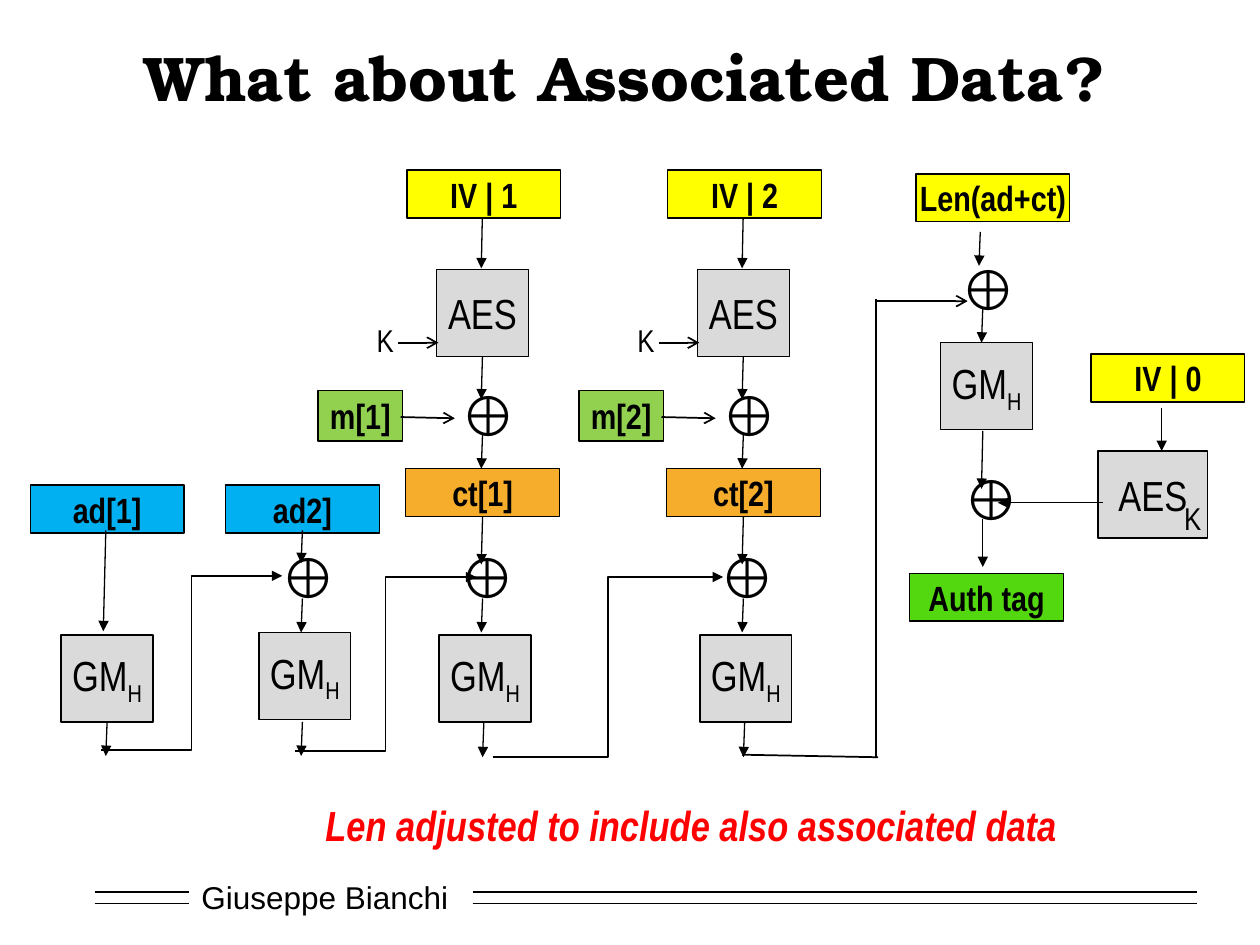
from lxml import etree
from pptx import Presentation
from pptx.dml.color import RGBColor
from pptx.enum.shapes import MSO_CONNECTOR, MSO_SHAPE
from pptx.enum.text import MSO_ANCHOR, PP_ALIGN
from pptx.oxml.ns import qn
from pptx.util import Inches, Pt

RECT = MSO_SHAPE.RECTANGLE
STRAIGHT, ELBOW = MSO_CONNECTOR.STRAIGHT, MSO_CONNECTOR.ELBOW
LEFT, CENTER = PP_ALIGN.LEFT, PP_ALIGN.CENTER
TOP, MIDDLE = MSO_ANCHOR.TOP, MSO_ANCHOR.MIDDLE

NARROW = "Arial Narrow"
BLACK, RED, GREY = "000000", "FF0000", "DADADA"
YELLOW, ORANGE, BLUE = "FFFF00", "F5AD2B", "00B0F0"
LIME, GREEN = "92D050", "53D810"

# Column centres of the chain, in inches
AD_1, AD_2, BLOCK_1, BLOCK_2, TAG, MASK = 0.85, 2.4, 3.83, 5.9, 7.8, 9.22
FIELD = (1.22, 0.38)
MESSAGE = (0.67, 0.4)
CIPHER = (0.73, 0.69)
WIDE_CIPHER = (0.87, 0.69)
XOR_SIZE = (0.55, 0.64)
KEY_SIZE = (0.25, 0.4)


def color(hex_code):
    return RGBColor.from_string(hex_code)


def add_run(paragraph, wording, size, font=NARROW, hex_code=BLACK,
            bold=False, italic=False):
    run = paragraph.add_run()
    run.text = wording
    run.font.name = font
    run.font.size = Pt(size)
    run.font.bold = bold
    run.font.italic = italic
    run.font.color.rgb = color(hex_code)
    return run


def label(slide, left, top, size, wording, points, align=LEFT, anchor=TOP, **style):
    box = slide.shapes.add_textbox(Inches(left), Inches(top), *map(Inches, size))
    frame = box.text_frame
    frame.word_wrap = True
    frame.vertical_anchor = anchor
    paragraph = frame.paragraphs[0]
    paragraph.alignment = align
    add_run(paragraph, wording, points, **style)


def block(slide, center, top, size, fill):
    """Outlined rectangle; returns its centred paragraph."""
    shape = slide.shapes.add_shape(RECT, Inches(center - size[0] / 2), Inches(top),
                                   *map(Inches, size))
    shape.shadow.inherit = False
    shape.fill.solid()
    shape.fill.fore_color.rgb = color(fill)
    shape.line.color.rgb = color(BLACK)
    shape.line.width = Pt(0.75)
    frame = shape.text_frame
    frame.word_wrap = False
    frame.vertical_anchor = MIDDLE
    paragraph = frame.paragraphs[0]
    paragraph.alignment = CENTER
    return paragraph


def field(slide, center, top, wording, fill, size=FIELD):
    add_run(block(slide, center, top, size, fill), wording, 20, bold=True)


def aes(slide, center, top, size=CIPHER):
    add_run(block(slide, center, top, size, GREY), "AES", 24)


def gm(slide, center, top):
    """Multiplication by H in the Galois field."""
    paragraph = block(slide, center, top, CIPHER, GREY)
    add_run(paragraph, "GM", 24)
    subscript = add_run(paragraph, "H", 24)
    subscript.font._element.set("baseline", "-25000")


def xor(slide, center, top):
    label(slide, center - XOR_SIZE[0] / 2, top, XOR_SIZE, "⊕", 32)


def key(slide, left, top):
    label(slide, left, top, KEY_SIZE, "K", 18)


def line(slide, start, end, width=1.0, head=None, kind=STRAIGHT):
    connector = slide.shapes.add_connector(kind, *map(Inches, (*start, *end)))
    connector.line.color.rgb = color(BLACK)
    connector.line.width = Pt(width)
    if head:
        tail = etree.SubElement(connector.line._get_or_add_ln(), qn("a:tailEnd"))
        tail.set("type", head)
    etree.SubElement(connector._element.spPr, qn("a:effectLst"))


def down(slide, center, top, bottom):
    line(slide, (center, top), (center - 0.01, bottom), 0.75, "triangle")


def feed(slide, start, end):
    """Elbow that carries one product to the next addition."""
    line(slide, start, end, head="triangle", kind=ELBOW)


def encryption(slide, center, number):
    """Counter, cipher and message giving one ciphertext block."""
    for top, bottom in ((1.63, 2.13), (2.79, 3.17), (3.44, 3.72), (4.1, 4.48), (4.75, 5.02)):
        down(slide, center, top, bottom)
    field(slide, center + 0.01, 1.35, f"IV | {number}", YELLOW)
    aes(slide, center, 2.14)
    line(slide, (center - 0.67, 2.72), (center - 0.35, 2.72), head="arrow")
    key(slide, center - 0.94, 2.5)
    field(slide, center - 0.97, 3.1, f"m[{number}]", LIME, MESSAGE)
    line(slide, (center - 0.65, 3.31), (center - 0.22, 3.32), head="arrow")
    xor(slide, center, 2.97)
    field(slide, center, 3.72, f"ct[{number}]", ORANGE)
    xor(slide, center - 0.01, 4.26)
    gm(slide, center + 0.02, 5.04)
    down(slide, center + 0.01, 5.74, 6.01)


def associated_data(slide):
    field(slide, AD_1, 3.85, "ad[1]", BLUE)
    line(slide, (AD_1 - 0.01, 4.21), (AD_1 - 0.03, 5.01), 0.75, "triangle")
    gm(slide, AD_1, 5.04)
    field(slide, AD_2, 3.85, "ad2]", BLUE)
    down(slide, AD_2, 4.21, 4.47)
    xor(slide, AD_2, 4.26)
    down(slide, AD_2, 4.75, 5.02)
    gm(slide, AD_2 + 0.02, 5.02)
    for center in (AD_1, AD_2):
        down(slide, center, 5.73, 6)


def chain(slide):
    feed(slide, (0.8, 5.95), (2.24, 4.57))
    feed(slide, (2.34, 5.96), (3.78, 4.58))
    feed(slide, (3.91, 6.01), (5.74, 4.58))
    riser = 6.95
    line(slide, (riser + 0.02, 6.01), (BLOCK_2 - 0.01, 5.99))
    line(slide, (riser, 6.02), (riser, 2.37))
    line(slide, (riser, 2.39), (7.68, 2.39), head="arrow")


def authentication(slide):
    field(slide, TAG + 0.08, 1.38, "Len(ad+ct)", YELLOW)
    down(slide, TAG - 0.02, 1.84, 2.11)
    xor(slide, TAG, 1.97)
    down(slide, TAG, 2.44, 2.72)
    gm(slide, TAG + 0.03, 2.72)
    down(slide, TAG, 3.42, 3.88)
    xor(slide, TAG + 0.02, 3.64)
    line(slide, (TAG, 4.12), (TAG, 4.5), 0.75, "triangle")
    field(slide, TAG + 0.03, 4.55, "Auth tag", GREEN)

    field(slide, MASK + 0.05, 2.81, "IV | 0", YELLOW)
    line(slide, (MASK, 3.24), (MASK, 3.58), 0.75, "triangle")
    aes(slide, MASK - 0.07, 3.58, WIDE_CIPHER)
    key(slide, MASK + 0.08, 3.91)
    line(slide, (8.75, 3.99), (7.92, 3.99), 0.75, "triangle")


def footer(slide):
    for y in (7.08, 7.17):
        for start, end in ((0.75, 1.5), (3.75, 9.5)):
            line(slide, (start, y), (end, y))
    label(slide, 1.5, 6.92, (2.17, 0.4), "Giuseppe Bianchi", 18, anchor=MIDDLE, font="Arial")


def main():
    deck = Presentation()
    deck.slide_width, deck.slide_height = Inches(10), Inches(7.5)
    slide = deck.slides.add_slide(deck.slide_layouts[6])
    footer(slide)
    label(slide, 0.75, 0.25, (8.42, 0.71), "What about Associated Data?", 36,
          CENTER, MIDDLE, font="TeX Gyre Bonum", bold=True)
    for number, center in enumerate((BLOCK_1, BLOCK_2), start=1):
        encryption(slide, center, number)
    associated_data(slide)
    chain(slide)
    authentication(slide)
    label(slide, 2.07, 6.3, (6.83, 0.5), "Len adjusted to include also associated data", 24,
          CENTER, hex_code=RED, bold=True, italic=True)
    deck.save("out.pptx")


if __name__ == "__main__":
    main()
